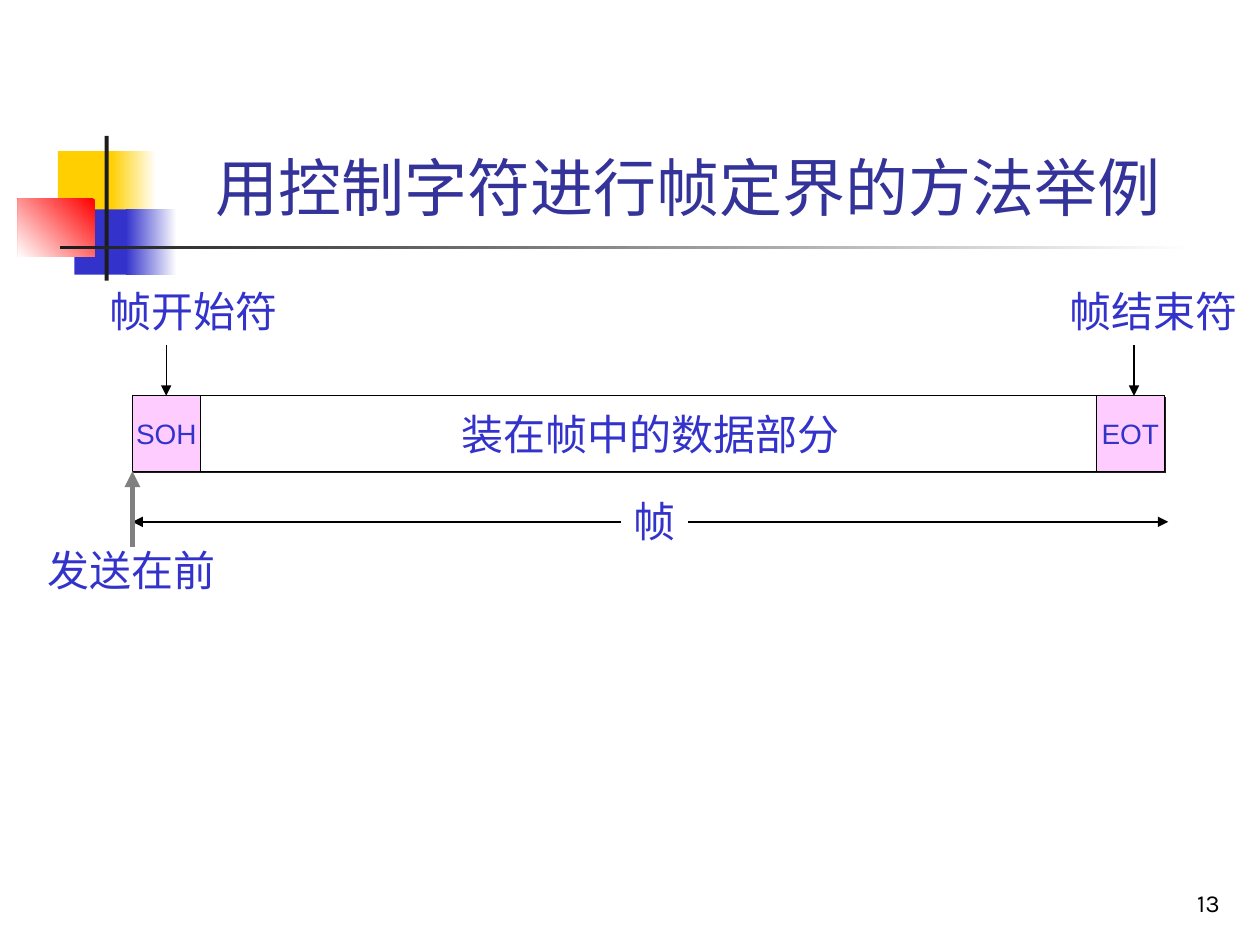
from lxml import etree
from pptx import Presentation, util as u
from pptx.dml.color import RGBColor
from pptx.enum import shapes, text
from pptx.oxml import ns

COLORS = {
    "yellow": "FFCF01", "blue": "3333CC", "red": "FF0000", "white": "FFFFFF",
    "dark": "1C1C1C", "title": "333399", "pink": "FFCCFF", "black": "000000",
    "gray": "808080",
}
LEFT, CENTER, RIGHT = text.PP_ALIGN.LEFT, text.PP_ALIGN.CENTER, text.PP_ALIGN.RIGHT
TOP, MIDDLE, BOTTOM = text.MSO_ANCHOR.TOP, text.MSO_ANCHOR.MIDDLE, text.MSO_ANCHOR.BOTTOM


def rgb(name):
    return RGBColor.from_string(COLORS[name])


def write(shape, words, size, color="blue", align=LEFT, anchor=TOP, wrap=False, font="Arial"):
    """Put one styled paragraph into a shape."""
    frame = shape.text_frame
    frame.word_wrap = wrap
    frame.vertical_anchor = anchor
    paragraph = frame.paragraphs[0]
    paragraph.text = words
    paragraph.alignment = align
    paragraph.font.size = u.Pt(size)
    paragraph.font.name = font
    paragraph.font.color.rgb = rgb(color)


presentation = Presentation()
presentation.slide_width, presentation.slide_height = u.Cm(25.4), u.Cm(19.05)
slide = presentation.slides.add_slide(presentation.slide_layouts[6])

# Decoration: box, gradient stops (one stop means a plain fill), clockwise angle
decoration = [
    ((1.17, 3.05, 1.22, 1.32), ["yellow"], 0),
    ((2.24, 3.05, 0.91, 1.32), ["white", "yellow"], 180),
    ((1.5, 4.22, 1.17, 1.32), ["blue"], 0),
    ((2.54, 4.22, 1.02, 1.32), ["white", "blue"], 180),
    ((0.36, 4.01, 1.55, 1.17), ["red", "white"], 135),
    ((2.11, 2.74, 0.08, 2.92), ["dark"], 0),
    ((1.22, 4.95, 22.86, 0.08), ["white", "dark"], 180),
]
for box, stops, angle in decoration:
    shape = slide.shapes.add_shape(shapes.MSO_SHAPE.RECTANGLE, *map(u.Cm, box))
    shape.shadow.inherit = False
    shape.line.fill.background()
    if len(stops) == 1:
        shape.fill.solid()
        shape.fill.fore_color.rgb = rgb(stops[0])
    else:
        shape.fill.gradient()
        shape.fill.gradient_angle = 360 - angle
        for stop, position, color in zip(shape.fill.gradient_stops, (0, 1), stops):
            stop.position = position
            stop.color.rgb = rgb(color)

title = slide.shapes.add_textbox(u.Cm(3.2), u.Cm(0.58), u.Cm(21.64), u.Cm(4.06))
write(title, "用控制字符进行帧定界的方法举例 ", 36, "title", CENTER, BOTTOM, wrap=True)

# Frame fields, each with a small hard shadow
frame_left, frame_top, frame_height = 2.67, 7.98, 1.52
fields = [
    (frame_left, 1.37, "pink", "SOH", 16),
    (4.04, 18.14, "white", "装在帧中的数据部分", 24),
    (22.1, 1.37, "pink", "EOT", 16),
]
for left, width, fill, words, size in fields:
    shape = slide.shapes.add_shape(
        shapes.MSO_SHAPE.RECTANGLE,
        u.Cm(left), u.Cm(frame_top), u.Cm(width), u.Cm(frame_height))
    shape.fill.solid()
    shape.fill.fore_color.rgb = rgb(fill)
    shape.line.color.rgb = rgb("black")
    shape.line.width = u.Pt(0.75)
    shape.shadow.inherit = False
    effects = shape.element.spPr.find(ns.qn("a:effectLst"))
    shadow = etree.SubElement(effects, ns.qn("a:outerShdw"), dist=str(u.Pt(1.4)),
                              dir="2700000", algn="ctr", rotWithShape="0")
    etree.SubElement(shadow, ns.qn("a:srgbClr"), val=COLORS["dark"])
    write(shape, words, size, align=CENTER, anchor=MIDDLE)

# Arrows: start, end, colour, width, line ends that carry a head
arrows = [
    ((frame_left, 10.52), (23.55, 10.52), "black", 0.75, ["headEnd", "tailEnd"]),
    ((3.35, 6.96), (3.35, frame_top), "black", 0.75, ["tailEnd"]),
    ((22.86, 6.96), (22.86, frame_top), "black", 0.75, ["tailEnd"]),
    ((frame_left, 11.02), (frame_left, frame_top + frame_height), "gray", 3, ["tailEnd"]),
]
for start, end, color, width, ends in arrows:
    arrow = slide.shapes.add_connector(
        shapes.MSO_CONNECTOR.STRAIGHT, *map(u.Cm, start + end))
    arrow.line.color.rgb = rgb(color)
    arrow.line.width = u.Pt(width)
    for line_end in ends:
        etree.SubElement(arrow.line._get_or_add_ln(), ns.qn("a:" + line_end), type="triangle")
    etree.SubElement(arrow.element.spPr, ns.qn("a:effectLst"))

labels = [
    (12.52, 9.86, 1.35, "帧"),
    (1.96, 5.64, 3.89, "帧开始符"),
    (21.31, 5.64, 3.89, "帧结束符"),
    (0.71, 10.85, 3.89, "发送在前"),
]
for left, top, width, words in labels:
    label = slide.shapes.add_textbox(u.Cm(left), u.Cm(top), u.Cm(width), u.Cm(1.27))
    write(label, words, 24)
    if words == "帧":  # covers the middle of the frame-length arrow
        label.fill.solid()
        label.fill.fore_color.rgb = rgb("white")

number = slide.shapes.add_textbox(u.Cm(19.56), u.Cm(17.35), u.Cm(5.28), u.Cm(1.27))
write(number, "13", 14, "black", RIGHT, BOTTOM, wrap=True, font="Karla")

presentation.save("out.pptx")
